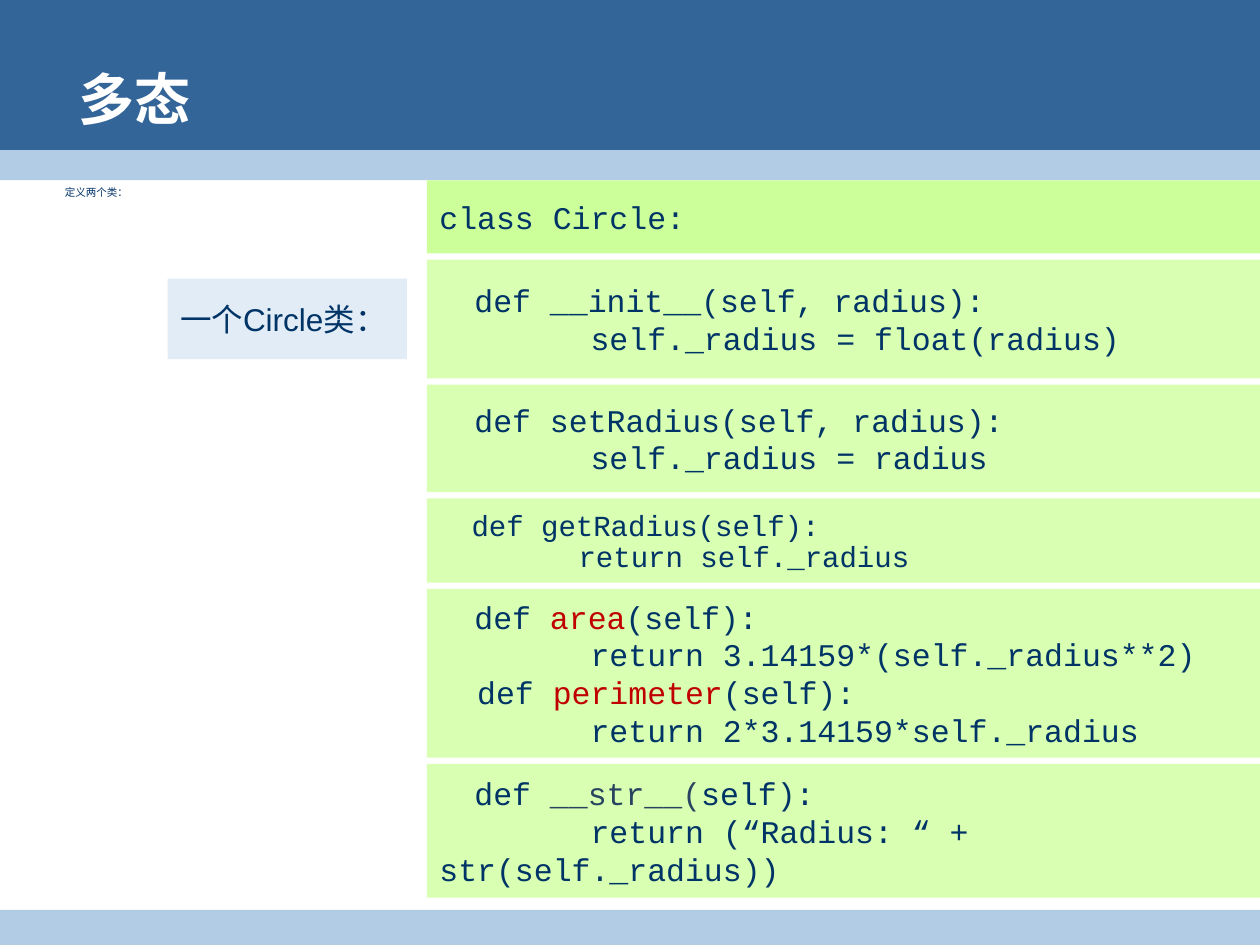
"""Build a slide on polymorphism that walks through a Circle class."""
from dataclasses import dataclass

import pptx
import pptx.dml.color
import pptx.enum.shapes
import pptx.enum.text
import pptx.oxml.ns
import pptx.util
from lxml import etree

Pt = pptx.util.Pt


@dataclass(frozen=True)
class Theme:
    """Colours, fonts and type sizes of the slide."""
    banner: str = "336599"
    band: str = "B3CCE6"
    code_fill: str = "CCFF99"
    label_fill: str = "E2ECF6"
    ink: str = "003366"
    slate: str = "294460"
    accent: str = "C00000"
    white: str = "FFFFFF"
    sans: str = "Arial"
    mono: str = "Courier New"
    title_size: float = 32
    code_size: float = 18
    tight_size: float = 16.6
    intro_size: float = 6


THEME = Theme()
MIDDLE = pptx.enum.text.MSO_ANCHOR.MIDDLE
TOP = pptx.enum.text.MSO_ANCHOR.TOP
ROW_GAP = 3.5

INDENT = ("    ", {"font": THEME.sans})
ACCENT = {"color": THEME.accent}
CODE_ROWS = [
    {"height": 41.8, "lines": [["class Circle:"]], "opacity": 100},
    {"height": 68, "lines": [[INDENT, "def __init__(self, radius):"],
                             ["        self._radius = float(radius)"]]},
    {"height": 61.5, "lines": [[INDENT, "def setRadius(self, radius):"],
                               ["        self._radius = radius"]]},
    {"height": 48.2, "lines": [[INDENT, "def getRadius(self):"],
                               ["        return self._radius"]],
     "size": THEME.tight_size, "spacing": 0.9},
    {"height": 96.5, "lines": [[INDENT, "def ", ("area", ACCENT), "(self):"],
                               ["        return 3.14159*(self._radius**2)"],
                               ["  def ", ("perimeter", ACCENT), "(self):"],
                               ["        return 2*3.14159*self._radius"]]},
    {"height": 76.5, "lines": [[INDENT, "def ", ("__str__(", {"color": THEME.slate}), "self):"],
                               ["        return (“Radius: “ + str(self._radius))"]]},
]


def write_text(shape, lines, *, size, font=THEME.sans, color=THEME.ink, bold=False,
               anchor=MIDDLE, spacing=None):
    """Fill a shape with lines of runs; a run is a string or a (string, overrides) pair."""
    frame = shape.text_frame
    frame.word_wrap = True
    frame.vertical_anchor = anchor
    frame.margin_left = frame.margin_right = Pt(7.2)
    frame.margin_top = frame.margin_bottom = Pt(3.6)
    for number, line in enumerate(lines):
        paragraph = frame.add_paragraph() if number else frame.paragraphs[0]
        paragraph.alignment = pptx.enum.text.PP_ALIGN.LEFT
        if number and spacing:
            paragraph.line_spacing = spacing
        for part in line:
            words, overrides = (part, {}) if isinstance(part, str) else part
            run = paragraph.add_run()
            run.text = words
            run.font.size = Pt(size)
            run.font.bold = bold
            run.font.name = overrides.get("font", font)
            run.font.color.rgb = pptx.dml.color.RGBColor.from_string(
                overrides.get("color", color))


def add_panel(slide, box, fill, opacity=100):
    """Add a borderless rectangle, optionally see-through."""
    panel = slide.shapes.add_shape(
        pptx.enum.shapes.MSO_SHAPE.RECTANGLE, *(Pt(length) for length in box))
    panel.shadow.inherit = False
    panel.line.fill.background()
    panel.fill.solid()
    panel.fill.fore_color.rgb = pptx.dml.color.RGBColor.from_string(fill)
    if opacity < 100:
        tint = panel.fill._xPr.find(".//" + pptx.oxml.ns.qn("a:srgbClr"))
        etree.SubElement(tint, pptx.oxml.ns.qn("a:alpha"), val=str(opacity * 1000))
    return panel


def add_label(slide, box, words, **text_format):
    """Add a text box with one line of text."""
    label = slide.shapes.add_textbox(*(Pt(length) for length in box))
    write_text(label, [[words]], **text_format)


def add_header(slide, box):
    """Draw the banner, the band along its lower edge and the title."""
    left, top, width, height = box
    band_height = 17
    banner_height = height - band_height
    add_panel(slide, (left, top, width, banner_height), THEME.banner)
    add_panel(slide, (left, top + banner_height, width, band_height), THEME.band)
    add_label(slide, (left + 37.6, top + 35.3, width - 75, 41.8), "多态",
              size=THEME.title_size, color=THEME.white, bold=True)


def add_sidebar(slide, box):
    """Place the introduction and the label of the class beside the code."""
    left, top, width, height = box
    add_label(slide, (left, top, width, 20), "定义两个类：",
              size=THEME.intro_size, anchor=TOP)
    label_width = 136.8
    name = add_panel(slide, (left + width - label_width, top + 56.2, label_width, 46),
                     THEME.label_fill)
    write_text(name, [["一个Circle类："]], size=THEME.code_size)


def add_code(slide, box):
    """Stack the code rows down the box with equal gaps."""
    left, top, width, height = box
    for row in CODE_ROWS:
        panel = add_panel(slide, (left, top, width, row["height"]),
                          THEME.code_fill, row.get("opacity", 75))
        write_text(panel, row["lines"], size=row.get("size", THEME.code_size),
                   font=THEME.mono, spacing=row.get("spacing"))
        top += row["height"] + ROW_GAP


def main():
    """Assemble and save the slide."""
    deck = pptx.Presentation()
    deck.slide_width, deck.slide_height = Pt(720), Pt(540)
    slide = deck.slides.add_slide(deck.slide_layouts[6])
    add_header(slide, (0, 0, 720, 103))
    add_panel(slide, (0, 520, 720, 20), THEME.band)
    add_sidebar(slide, (30, 103, 202.6, 410))
    add_code(slide, (244, 103, 476, 410))
    deck.save("out.pptx")


if __name__ == "__main__":
    main()
